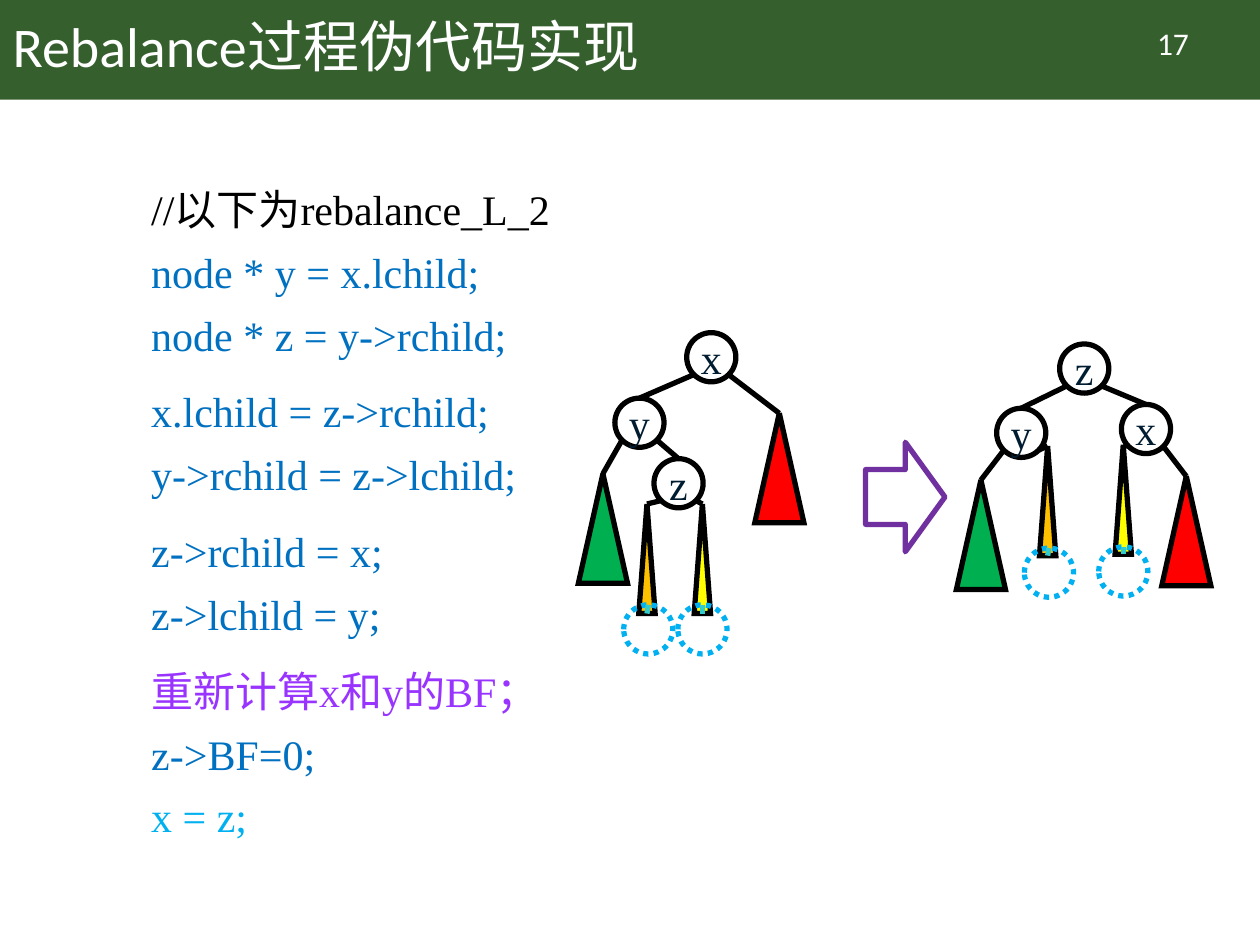
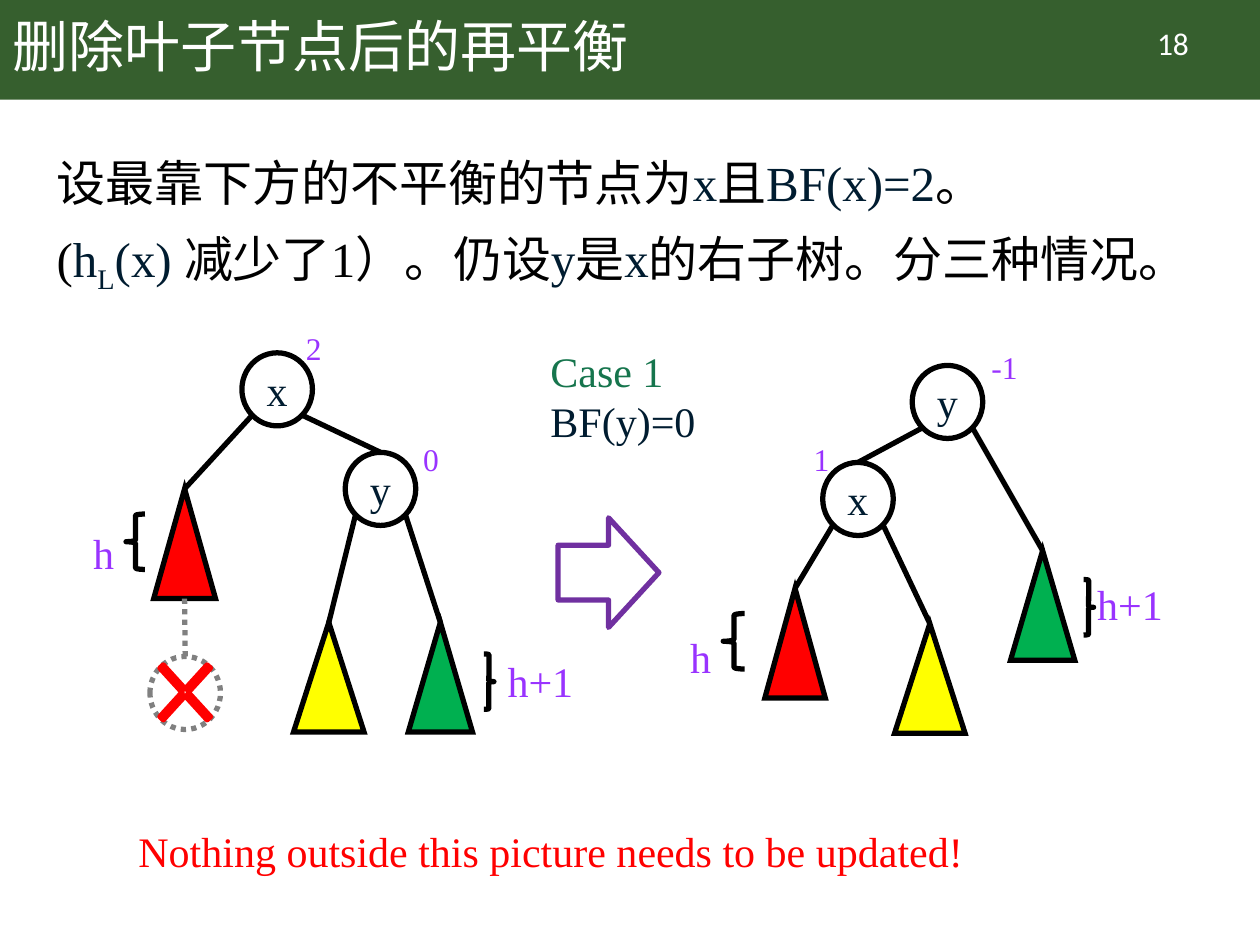
from lxml import etree
from pptx import Presentation
from pptx.dml.color import RGBColor
from pptx.enum.dml import MSO_LINE
from pptx.enum.shapes import MSO_CONNECTOR, MSO_SHAPE
from pptx.enum.text import MSO_ANCHOR, MSO_AUTO_SIZE, PP_ALIGN
from pptx.oxml.ns import qn
from pptx.util import Inches, Pt

BAND_GREEN = RGBColor(0x36, 0x5F, 0x2E)
WHITE = RGBColor(0xFF, 0xFF, 0xFF)
BLACK = RGBColor(0x00, 0x00, 0x00)
NAVY = RGBColor(0x00, 0x1C, 0x30)
BLUE = RGBColor(0x00, 0x70, 0xC0)
SKY = RGBColor(0x00, 0xB0, 0xF0)
TEAL = RGBColor(0x33, 0xCC, 0xCC)
VIOLET = RGBColor(0x99, 0x33, 0xFF)
PURPLE = RGBColor(0x70, 0x30, 0xA0)
CASE_GREEN = RGBColor(0x16, 0x75, 0x4D)
RED = RGBColor(0xFF, 0x00, 0x00)
GREEN = RGBColor(0x00, 0xB0, 0x50)
YELLOW = RGBColor(0xFF, 0xFF, 0x00)
ORANGE = RGBColor(0xFF, 0xC0, 0x00)
GRAY = RGBColor(0x80, 0x80, 0x80)

HEADING_FONT, BODY_FONT = "Calibri", "Times New Roman"
BAND_HEIGHT = 0.79
TREE_HEIGHT = 0.87
SMALL_NODE = (0.39, 0.39)
LARGE_NODE = (0.56, 0.58)
DIAGONAL = 0.5 ** 0.5


def format_run(run, size, color, font=BODY_FONT):
    run.font.size = Pt(size)
    run.font.name = font
    run.font.color.rgb = color


def place(shape, left, top, width, height):
    shape.left, shape.top = Inches(left), Inches(top)
    shape.width, shape.height = Inches(width), Inches(height)


def add_label(shapes, box, lines, size=24, font=BODY_FONT, align=PP_ALIGN.LEFT):
    """Add a text box with one paragraph for each (text, colour) pair."""
    frame = shapes.add_textbox(*map(Inches, box)).text_frame
    frame.word_wrap = True
    frame.text = "\n".join(line for line, _ in lines)
    for paragraph, (_, color) in zip(frame.paragraphs, lines):
        paragraph.alignment = align
        format_run(paragraph.runs[0], size, color, font)


def add_outline(shapes, kind, box, color=BLACK, fill=None, dash=None):
    shape = shapes.add_shape(kind, *map(Inches, box))
    shape.shadow.inherit = False
    if fill is None:
        shape.fill.background()
    else:
        shape.fill.solid()
        shape.fill.fore_color.rgb = fill
    shape.line.color.rgb = color
    shape.line.width = Pt(3)
    if dash:
        shape.line.dash_style = dash
    return shape


def add_node(shapes, name, left, top, size):
    node = add_outline(shapes, MSO_SHAPE.OVAL, (left, top, *size))
    frame = node.text_frame
    frame.margin_left = frame.margin_right = frame.margin_top = frame.margin_bottom = 0
    frame.vertical_anchor = MSO_ANCHOR.MIDDLE
    frame.text = name
    frame.paragraphs[0].alignment = PP_ALIGN.CENTER
    format_run(frame.paragraphs[0].runs[0], 24, NAVY)
    return node


def add_subtree(shapes, left, top, width, color):
    box = (left, top, width, TREE_HEIGHT)
    subtree = add_outline(shapes, MSO_SHAPE.ISOSCELES_TRIANGLE, box, fill=color)
    etree.SubElement(subtree.line._get_or_add_ln(), qn("a:miter"), lim="800000")
    return subtree


def add_line(shapes, start, end, color=BLACK, dash=None):
    line = shapes.add_connector(MSO_CONNECTOR.STRAIGHT, *start, *end)
    line.line.color.rgb = color
    line.line.width = Pt(3)
    if dash:
        line.line.dash_style = dash
    etree.SubElement(line.element.spPr, qn("a:effectLst"))


def top_of(shape):
    return shape.left + shape.width // 2, shape.top


def base_of(shape):
    return shape.left + shape.width // 2, shape.top + shape.height


def add_branches(shapes, parent, left_child, right_child):
    """Join the lower diagonal points of a node to the tops of its children."""
    for side, child in ((-1, left_child), (1, right_child)):
        corner = (int(parent.left + parent.width / 2 * (1 + side * DIAGONAL)),
                  int(parent.top + parent.height / 2 * (1 + DIAGONAL)))
        add_line(shapes, top_of(child), corner)


def add_leaf(shapes, subtree, left, top, size, color, stub_color, stub_dash=None):
    """Hang a dotted leaf below a subtree."""
    leaf = add_outline(shapes, MSO_SHAPE.OVAL, (left, top, *size), color,
                       dash=MSO_LINE.ROUND_DOT)
    add_line(shapes, top_of(leaf), base_of(subtree), stub_color, stub_dash)


def add_height_mark(shapes, kind, brace_box, text, label_box):
    add_outline(shapes, kind, brace_box)
    add_label(shapes, label_box, [(text, VIOLET)])


def add_balance(shapes, text, left, top):
    add_label(shapes, (left, top, 0.44, 0.4), [(text, VIOLET)], 18)


def add_arrow(shapes, left, top, width):
    add_outline(shapes, MSO_SHAPE.RIGHT_ARROW, (left, top, width, 0.87), PURPLE)


def add_titled_slide(presentation, title_text, number):
    slide = presentation.slides.add_slide(presentation.slide_layouts[1])
    title = slide.shapes.title
    place(title, 0, 0, 8.62, BAND_HEIGHT)
    frame = title.text_frame
    frame.text = title_text
    frame.auto_size = MSO_AUTO_SIZE.NONE
    frame.vertical_anchor = MSO_ANCHOR.MIDDLE
    paragraph = frame.paragraphs[0]
    paragraph.alignment = PP_ALIGN.LEFT
    paragraph.line_spacing = 0.9
    format_run(paragraph.runs[0], 32, WHITE, HEADING_FONT)

    band = slide.shapes.add_shape(MSO_SHAPE.RECTANGLE, 0, 0, presentation.slide_width,
                                  Inches(BAND_HEIGHT))
    band.shadow.inherit = False
    band.fill.solid()
    band.fill.fore_color.rgb = BAND_GREEN
    band.line.fill.background()
    title.element.addprevious(band.element)
    add_label(slide.shapes, (8.71, 0.14, 1.2, 0.4), [(number, WHITE)], 18,
              HEADING_FONT, PP_ALIGN.CENTER)
    return slide


def fill_body(slide, box, size, paragraphs):
    """Fill the body with (space before, [(text, colour, baseline)]) paragraphs."""
    body = slide.placeholders[1]
    place(body, *box)
    frame = body.text_frame
    frame.auto_size = MSO_AUTO_SIZE.NONE
    for index, (space_before, pieces) in enumerate(paragraphs):
        paragraph = frame.add_paragraph() if index else frame.paragraphs[0]
        paragraph.line_spacing = 0.9
        paragraph.space_before = Pt(space_before)
        properties = paragraph._p.get_or_add_pPr()
        properties.set("marL", "0")
        properties.set("indent", "0")
        etree.SubElement(properties, qn("a:buNone"))
        for piece, color, baseline in pieces:
            run = paragraph.add_run()
            run.text = piece
            format_run(run, size, color)
            if baseline:
                run._r.get_or_add_rPr().set("baseline", str(baseline))


def build_pseudocode_slide(presentation):
    slide = add_titled_slide(presentation, "Rebalance过程伪代码实现", "17")
    code = [
        (10, "//以下为rebalance_L_2", BLACK),
        (10, "node * y = x.lchild;", BLUE),
        (10, "node * z = y->rchild;", BLUE),
        (18, "x.lchild = z->rchild;", BLUE),
        (10, "y->rchild = z->lchild;", BLUE),
        (18, "z->rchild = x;", BLUE),
        (10, "z->lchild = y;", BLUE),
        (18, "重新计算x和y的BF；", VIOLET),
        (10, "z->BF=0;", BLUE),
        (10, "x = z;", SKY),
    ]
    fill_body(slide, (1.1, 1.45, 4.53, 5.4), 24,
              [(space, [(line, color, 0)]) for space, line, color in code])

    before = slide.shapes.add_group_shape().shapes
    x = add_node(before, "x", 5.45, 2.64, SMALL_NODE)
    y = add_node(before, "y", 4.88, 3.16, SMALL_NODE)
    z = add_node(before, "z", 5.19, 3.64, SMALL_NODE)
    red = add_subtree(before, 5.99, 3.28, 0.39, RED)
    green = add_subtree(before, 4.59, 3.76, 0.39, GREEN)
    orange = add_subtree(before, 5.07, 4, 0.13, ORANGE)
    yellow = add_subtree(before, 5.51, 4, 0.13, YELLOW)
    add_branches(before, x, y, red)
    add_branches(before, y, green, z)
    add_branches(before, z, orange, yellow)
    add_leaf(before, orange, 4.95, 4.8, SMALL_NODE, SKY, TEAL)
    add_leaf(before, yellow, 5.38, 4.8, SMALL_NODE, SKY, TEAL)

    after = slide.shapes.add_group_shape().shapes
    z = add_node(after, "z", 8.41, 2.73, SMALL_NODE)
    y = add_node(after, "y", 7.91, 3.24, SMALL_NODE)
    x = add_node(after, "x", 8.9, 3.21, SMALL_NODE)
    green = add_subtree(after, 7.59, 3.81, 0.39, GREEN)
    orange = add_subtree(after, 8.25, 3.54, 0.13, ORANGE)
    yellow = add_subtree(after, 8.85, 3.53, 0.13, YELLOW)
    red = add_subtree(after, 9.22, 3.78, 0.39, RED)
    add_branches(after, z, y, x)
    add_branches(after, y, green, orange)
    add_branches(after, x, yellow, red)
    add_leaf(after, orange, 8.13, 4.35, SMALL_NODE, SKY, TEAL)
    add_leaf(after, yellow, 8.72, 4.34, SMALL_NODE, SKY, TEAL)

    add_arrow(slide.shapes, 6.87, 3.51, 0.63)


def build_deletion_slide(presentation):
    slide = add_titled_slide(presentation, "删除叶子节点后的再平衡", "18")
    fill_body(slide, (0.35, 1.21, 9.3, 1.39), 28, [
        (10, [("设最靠下方的不平衡的节点为", BLACK, 0), ("x", NAVY, 0), ("且", BLACK, 0),
              ("BF(x)=2", NAVY, 0), ("。", BLACK, 0)]),
        (10, [("(", BLACK, 0), ("h", NAVY, 0), ("L", NAVY, -25000), ("(x) ", NAVY, 0),
              ("减少了1）。仍设", BLACK, 0), ("y", NAVY, 0), ("是", BLACK, 0),
              ("x", NAVY, 0), ("的右子树。分三种情况。", BLACK, 0)]),
    ])

    before = slide.shapes
    x = add_node(before, "x", 1.92, 2.8, LARGE_NODE)
    y = add_node(before, "y", 2.74, 3.59, LARGE_NODE)
    red = add_subtree(before, 1.22, 3.88, 0.49, RED)
    yellow = add_subtree(before, 2.33, 4.94, 0.56, YELLOW)
    green = add_subtree(before, 3.24, 4.94, 0.51, GREEN)
    add_branches(before, x, red, y)
    add_branches(before, y, yellow, green)
    add_leaf(before, red, 1.19, 5.21, LARGE_NODE, GRAY, GRAY, MSO_LINE.ROUND_DOT)
    add_balance(before, "2", 2.33, 2.56)
    add_balance(before, "0", 3.26, 3.44)
    add_height_mark(before, MSO_SHAPE.RIGHT_BRACE, (3.84, 5.19, 0.08, 0.44),
                    "h+1", (3.93, 5.15, 0.82, 0.5))
    add_height_mark(before, MSO_SHAPE.LEFT_BRACE, (1, 4.08, 0.15, 0.44),
                    "h", (0.64, 4.14, 0.44, 0.5))
    cross = add_outline(before, MSO_SHAPE.MATH_MULTIPLY, (1.11, 5.1, 0.72, 0.79), RED, WHITE)
    cross.adjustments[0] = 0.051

    after = slide.shapes.add_group_shape().shapes
    y = add_node(after, "y", 7.24, 2.9, LARGE_NODE)
    x = add_node(after, "x", 6.53, 3.67, LARGE_NODE)
    red = add_subtree(after, 6.07, 4.67, 0.48, RED)
    yellow = add_subtree(after, 7.1, 4.95, 0.56, YELLOW)
    green = add_subtree(after, 8.02, 4.37, 0.51, GREEN)
    add_branches(after, y, x, green)
    add_branches(after, x, red, yellow)
    add_balance(after, "-1", 7.77, 2.71)
    add_balance(after, "1", 6.36, 3.44)
    add_height_mark(after, MSO_SHAPE.RIGHT_BRACE, (8.6, 4.6, 0.08, 0.44),
                    "h+1", (8.61, 4.54, 0.82, 0.5))
    add_height_mark(after, MSO_SHAPE.LEFT_BRACE, (5.74, 4.87, 0.17, 0.44),
                    "h", (5.38, 4.96, 0.44, 0.5))

    add_arrow(slide.shapes, 4.43, 4.11, 0.8)
    add_label(slide.shapes, (4.27, 2.69, 1.58, 0.91),
              [("Case 1", CASE_GREEN), ("BF(y)=0", NAVY)])
    add_label(slide.shapes, (1, 6.5, 7.75, 0.5),
              [("Nothing outside this picture needs to be updated!", RED)])


def main():
    presentation = Presentation()
    presentation.slide_width, presentation.slide_height = Inches(10), Inches(7.5)
    build_pseudocode_slide(presentation)
    build_deletion_slide(presentation)
    presentation.save("out.pptx")


if __name__ == "__main__":
    main()
